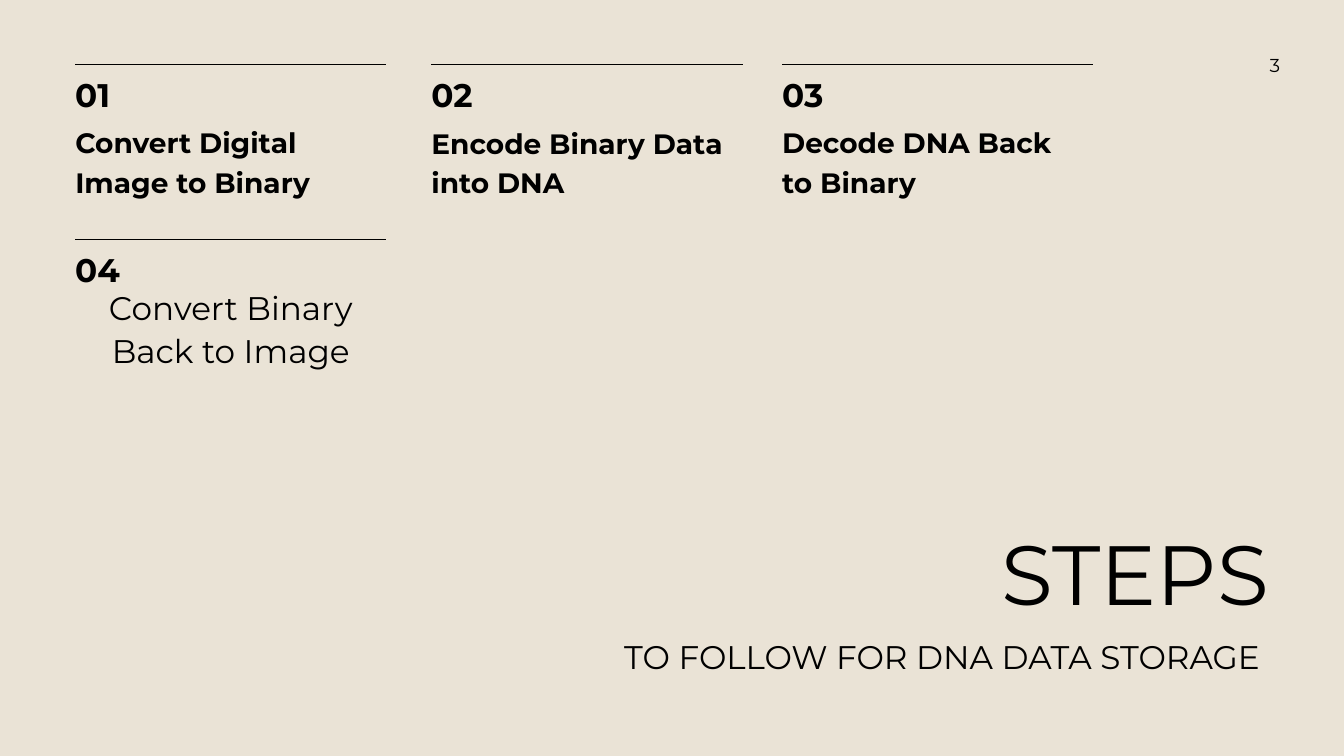
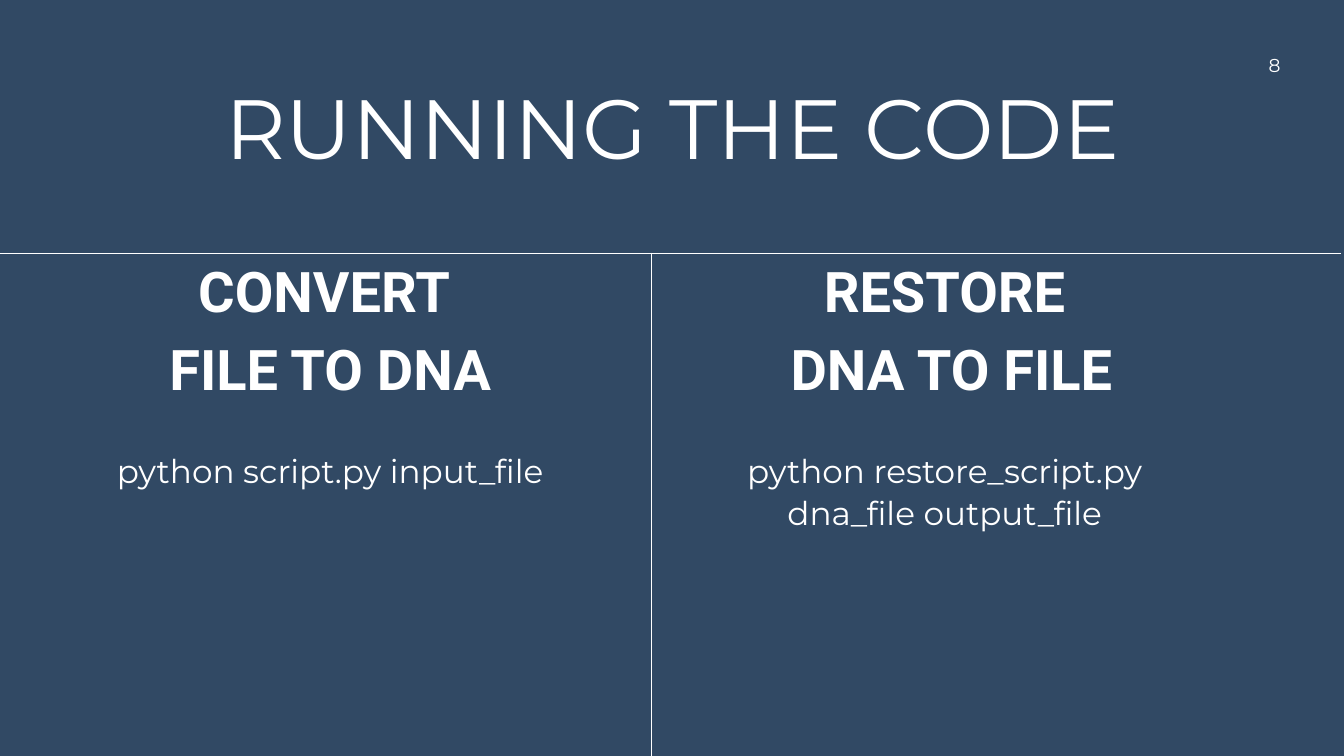
from lxml.etree import SubElement
from pptx import Presentation
from pptx.dml.color import RGBColor
from pptx.enum.shapes import MSO_CONNECTOR
from pptx.enum.text import MSO_AUTO_SIZE as AutoSize, PP_ALIGN as Align
from pptx.oxml.ns import qn
from pptx.util import Pt

EMU_PER_PX = 9144
SLIDE_WIDTH, SLIDE_HEIGHT = 2000, 1125
SAND = RGBColor(0xEA, 0xE3, 0xD6)
NAVY = RGBColor(0x31, 0x49, 0x64)
BLACK = RGBColor(0, 0, 0)
WHITE = RGBColor(0xFF, 0xFF, 0xFF)
HEADING_FONT, BODY_FONT = "Roboto", "Montserrat"
TITLE_SIZE, COMMAND_SIZE, LABEL_SIZE, NUMBER_SIZE = 90, 35, 30, 20
HEADING_SIZE = 60
LINE_SPACING = {90: 108, 60: 84, 35: 45.5, 30: 42, 20: 28}


def px(length):
    """Turn px into EMU."""
    return length * EMU_PER_PX


def add_text(shapes, box, lines, size, color, align=Align.LEFT, bold=False,
             font=BODY_FONT, wrap=True):
    """Add a text box with one paragraph for each line."""
    frame = shapes.add_textbox(*map(px, box)).text_frame
    frame.margin_left = frame.margin_right = frame.margin_top = frame.margin_bottom = 0
    frame.word_wrap = wrap
    frame.auto_size = AutoSize.SHAPE_TO_FIT_TEXT
    for index, line in enumerate(lines):
        para = frame.add_paragraph() if index else frame.paragraphs[0]
        para.alignment = align
        para.line_spacing = Pt(LINE_SPACING[size])
        span = para.add_run()
        span.text = line
        span.font.name = font
        span.font.size = Pt(size)
        span.font.bold = bold
        span.font.color.rgb = color


def add_rule(shapes, start, end, color, weight):
    """Add a thin straight line without a shadow."""
    rule = shapes.add_connector(MSO_CONNECTOR.STRAIGHT, *map(px, start + end))
    rule.line.color.rgb = color
    rule.line.width = Pt(weight)
    SubElement(rule._element.spPr, qn("a:effectLst"))


def add_page(deck, background, color, number):
    """Add a blank page with its background and page number."""
    page = deck.slides.add_slide(deck.slide_layouts[6])
    page.background.fill.solid()
    page.background.fill.fore_color.rgb = background
    add_text(page.shapes, (1888, 74, 17, 21), [number], NUMBER_SIZE, color,
             Align.RIGHT, wrap=False)
    return page


def add_step(page, box, number):
    """Add a rule with the step number below it."""
    left, top, width = box
    shapes = page.shapes.add_group_shape().shapes
    add_rule(shapes, (left, top), (left + width, top), BLACK, 1)
    add_text(shapes, (left, top + 11, width, 61), [number], COMMAND_SIZE, BLACK, bold=True)
    return shapes


def add_steps_title(page, box):
    """Add the right-aligned title and its subtitle."""
    left, top, width = box
    shapes = page.shapes.add_group_shape().shapes
    add_text(shapes, (left, top, width, 150), ["STEPS"], TITLE_SIZE, BLACK, Align.RIGHT)
    add_text(shapes, (left, top + 167, width, 61), ["TO FOLLOW FOR DNA DATA STORAGE "],
             COMMAND_SIZE, BLACK, Align.RIGHT)


def build_steps(deck):
    """Build the page of numbered steps."""
    page = add_page(deck, SAND, BLACK, "3")
    add_steps_title(page, (751, 776, 1137))
    steps = [
        (112, 442, 83, "Convert Digital Image to Binary"),
        (642, 463, 84, "Encode Binary Data into DNA"),
        (1164, 442, 83, "Decode DNA Back to Binary"),
    ]
    for order, (left, width, drop, label) in enumerate(steps, 1):
        shapes = add_step(page, (left, 96, 463), f"{order:02}")
        add_text(shapes, (left, 96 + drop, width, 110), [label], LABEL_SIZE, BLACK, bold=True)
    add_step(page, (112, 356, 463), "04")
    add_text(page.shapes, (112, 424, 463, 124), ["Convert Binary Back to Image"],
             COMMAND_SIZE, BLACK, Align.CENTER)


def add_command(page, heading_box, heading, command_box, command):
    """Add a two-line heading with its command below."""
    add_text(page.shapes, heading_box, heading, HEADING_SIZE, WHITE, Align.CENTER,
             bold=True, font=HEADING_FONT)
    add_text(page.shapes, command_box, [command], COMMAND_SIZE, WHITE, Align.CENTER)


def build_commands(deck):
    """Build the page of commands in two columns."""
    page = add_page(deck, NAVY, WHITE, "8")
    add_rule(page.shapes, (0, 377), (1995, 377), WHITE, 0.75)
    add_rule(page.shapes, (969, 376), (969, SLIDE_HEIGHT), WHITE, 0.75)
    add_text(page.shapes, (299, 112, 1403, 150), ["RUNNING THE CODE"], TITLE_SIZE,
             WHITE, Align.CENTER)
    add_command(page, (234, 365, 515, 229), ["CONVERT ", "FILE TO DNA"],
                (158, 666, 667, 62), "python script.py input_file")
    add_command(page, (1138, 365, 535, 229), ["RESTORE", " DNA TO FILE"],
                (1058, 666, 696, 187), "python restore_script.py dna_file output_file")


def main():
    """Build and save the deck."""
    deck = Presentation()
    deck.slide_width, deck.slide_height = px(SLIDE_WIDTH), px(SLIDE_HEIGHT)
    build_steps(deck)
    build_commands(deck)
    deck.save("out.pptx")


if __name__ == "__main__":
    main()
